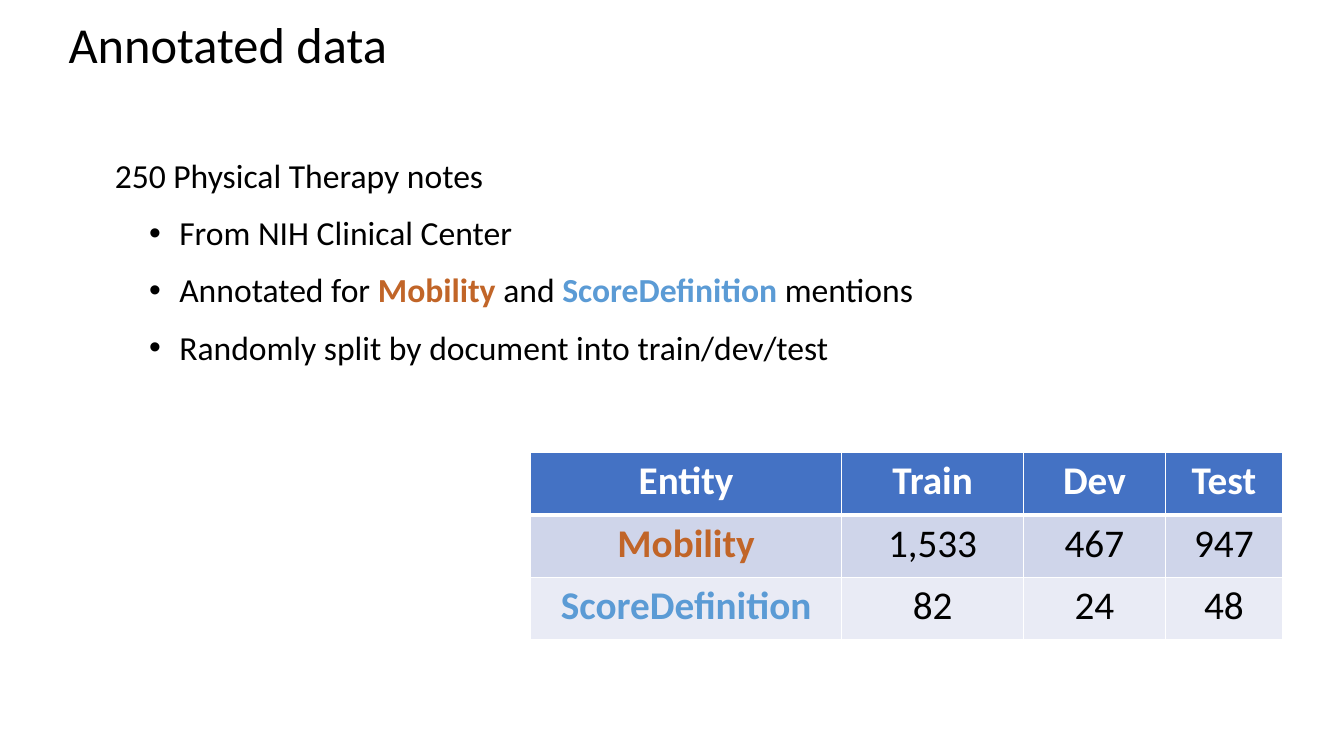
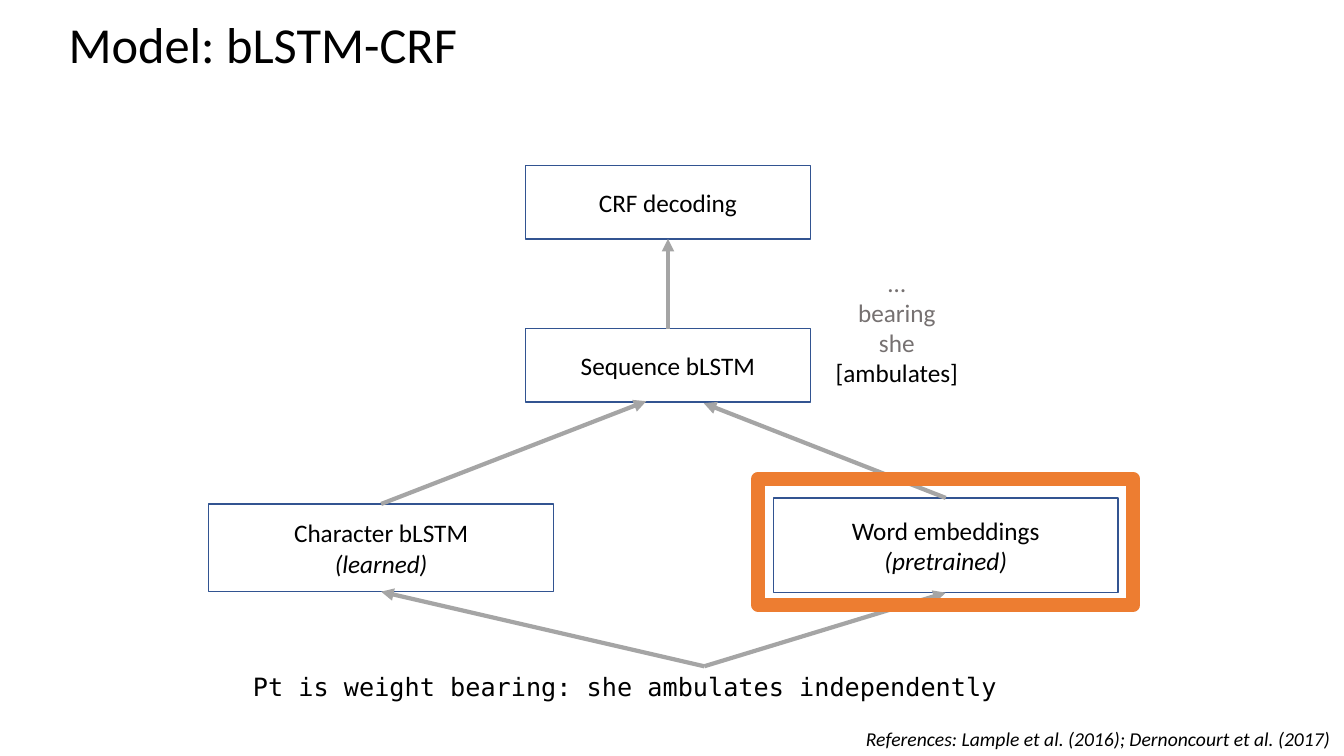
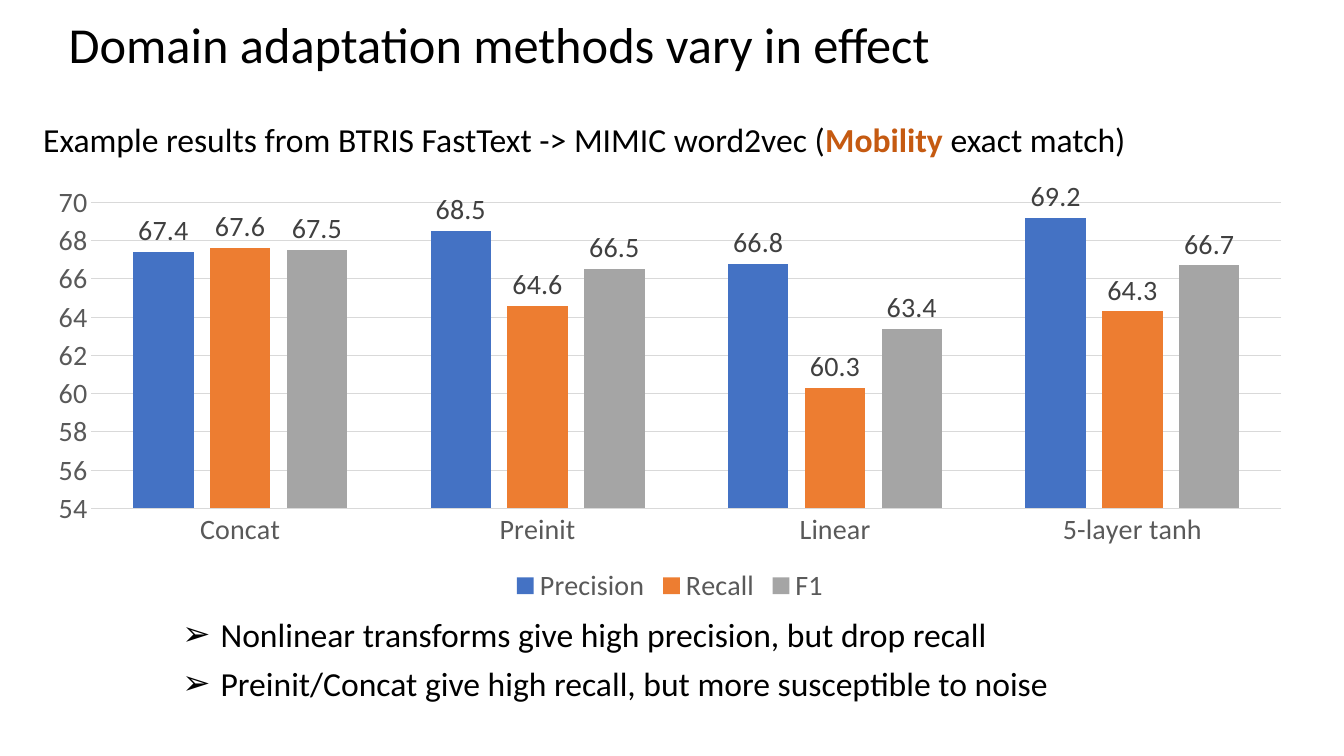
from lxml.etree import SubElement
from pptx import Presentation
from pptx.chart.data import CategoryChartData
from pptx.dml.color import RGBColor
from pptx.enum.chart import XL_CHART_TYPE as ChartType
from pptx.enum.chart import XL_LABEL_POSITION as LabelPos
from pptx.enum.chart import XL_LEGEND_POSITION as LegendPos
from pptx.enum.chart import XL_TICK_MARK as Tick
from pptx.enum.shapes import MSO_CONNECTOR as Connector
from pptx.enum.shapes import MSO_SHAPE as Shape
from pptx.enum.text import MSO_ANCHOR as Anchor
from pptx.enum.text import MSO_AUTO_SIZE as AutoSize
from pptx.enum.text import PP_ALIGN as Align
from pptx.oxml.ns import qn
from pptx.util import Inches, Pt

FONT, MONO = "Calibri", "DejaVu Sans Mono"
COLORS = {
    "black": "000000", "white": "FFFFFF", "mobility": "C16528",
    "mobility_dark": "C55A11", "score": "5B9BD5", "blue": "4472C4",
    "orange": "ED7D31", "gray": "A5A5A5", "band_dark": "CFD5EA",
    "band_light": "E9EBF5", "outline": "325491", "context": "767171",
    "axis": "595959", "grid": "D9D9D9", "label": "404040",
}


def rgb(name):
    return RGBColor.from_string(COLORS[name])


def inches(*lengths):
    return [Inches(length) for length in lengths]


def style_font(font, size, color="black", bold=None, italic=None, name=FONT):
    font.name, font.size = name, Pt(size)
    font.bold, font.italic = bold, italic
    font.color.rgb = rgb(color)


def add_slide(prs, title):
    """Title-only slide with the shared title style."""
    slide = prs.slides.add_slide(prs.slide_layouts[5])
    heading = slide.shapes.title
    heading.left, heading.top, heading.width, heading.height = inches(0.58, 0.2, 11.84, 0.53)
    frame = heading.text_frame
    frame.text = title
    frame.auto_size, frame.vertical_anchor = AutoSize.NONE, Anchor.MIDDLE
    line = frame.paragraphs[0]
    line.alignment, line.line_spacing = Align.LEFT, 0.9
    style_font(line.font, 36)
    return slide


def write_lines(frame, lines, size, align=Align.LEFT, **font):
    """Each line is a string or a list of runs: plain text, or (text, color) for bold."""
    for i, line in enumerate(lines):
        para = frame.paragraphs[0] if i == 0 else frame.add_paragraph()
        para.alignment = align
        style_font(para.font, size, **font)
        for part in [line] if isinstance(line, str) else line:
            text, color = (part, None) if isinstance(part, str) else part
            run = para.add_run()
            run.text = text
            if color:
                run.font.bold, run.font.color.rgb = True, rgb(color)
    return frame.paragraphs


def add_text(slide, box, lines, size, wrap=True, **style):
    note = slide.shapes.add_textbox(*inches(*box))
    note.text_frame.word_wrap = wrap
    write_lines(note.text_frame, lines, size, **style)
    return note


def add_bullet(para, char, indent, hang, before):
    para.space_before = Pt(before)
    props = para._p.get_or_add_pPr()
    props.set("marL", str(Inches(indent)))
    props.set("indent", str(-Inches(hang)))
    defaults = props.find(qn("a:defRPr"))
    for tag, key, value in (("a:buFont", "typeface", "Arial"), ("a:buChar", "char", char)):
        mark = SubElement(props, qn(tag))
        mark.set(key, value)
        defaults.addprevious(mark)


def add_box(slide, box, line="outline", width=1, fill="white"):
    rect = slide.shapes.add_shape(Shape.RECTANGLE, *inches(*box))
    rect.shadow.inherit = False
    if fill:
        rect.fill.solid()
        rect.fill.fore_color.rgb = rgb(fill)
    else:
        rect.fill.background()
    rect.line.color.rgb, rect.line.width = rgb(line), Pt(width)
    return rect


def add_layer(slide, box, name, remark=None):
    """Labelled model layer with an optional italic remark below."""
    layer = add_box(slide, box)
    frame = layer.text_frame
    frame.vertical_anchor = Anchor.MIDDLE
    lines = [name, remark] if remark else [name]
    paras = write_lines(frame, lines, 18, Align.CENTER)
    if remark:
        paras[1].font.italic = True
    return layer


def add_arrow(slide, source, target=None, tip=(0, 0)):
    """Upward arrow from the top of source to the bottom of target, or to a point."""
    arrow = slide.shapes.add_connector(Connector.STRAIGHT, *inches(*tip, *tip))
    arrow.begin_connect(source, 0)
    if target is not None:
        arrow.end_connect(target, 2)
    arrow.line.color.rgb, arrow.line.width = rgb("gray"), Pt(3)
    SubElement(arrow.line._get_or_add_ln(), qn("a:tailEnd")).set("type", "triangle")
    SubElement(arrow._element.spPr, qn("a:effectLst"))


def set_borders(cell, bottom):
    props = cell._tc.get_or_add_tcPr()
    sides = (("L", 1), ("R", 1), ("T", 1), ("B", bottom))
    for i, (side, width) in enumerate(sides):
        edge = props.makeelement(qn("a:ln" + side), {"w": str(Pt(width))})
        fill = SubElement(edge, qn("a:solidFill"))
        SubElement(fill, qn("a:srgbClr")).set("val", COLORS["white"])
        props.insert(i, edge)


def add_counts_table(slide, left, top, widths, row_height, rows):
    height = row_height * len(rows)
    table = slide.shapes.add_table(
        len(rows), len(widths), *inches(left, top, sum(widths), height)).table
    for column, width in zip(table.columns, widths):
        column.width = Inches(width)
    entity_colors = ["white", "mobility", "score"]
    fills = ["blue", "band_dark", "band_light"]
    for r, values in enumerate(rows):
        table.rows[r].height = Inches(row_height)
        for c, value in enumerate(values):
            cell = table.cell(r, c)
            strong = r == 0 or c == 0
            write_lines(cell.text_frame, [value], 28, Align.CENTER, bold=strong,
                        color=entity_colors[r] if strong else "black")
            cell.fill.solid()
            cell.fill.fore_color.rgb = rgb(fills[r])
            set_borders(cell, 3 if r == 0 else 1)


def add_scores_chart(slide, box, methods, scores):
    data = CategoryChartData()
    data.categories = methods
    for measure, (_, values) in scores.items():
        data.add_series(measure, values)
    chart = slide.shapes.add_chart(ChartType.COLUMN_CLUSTERED, *inches(*box), data).chart
    style_font(chart.font, 20)
    chart.has_title = False
    chart.has_legend = True
    chart.legend.position, chart.legend.include_in_layout = LegendPos.BOTTOM, False
    style_font(chart.legend.font, 20, "axis")

    # Axes
    for axis in (chart.category_axis, chart.value_axis):
        axis.major_tick_mark = axis.minor_tick_mark = Tick.NONE
        style_font(axis.tick_labels.font, 20, "axis")
    scale = chart.value_axis
    scale.minimum_scale, scale.maximum_scale, scale.major_unit = 54, 70, 2
    scale.format.line.fill.background()
    for line in (chart.category_axis.format.line, scale.major_gridlines.format.line):
        line.color.rgb, line.width = rgb("grid"), Pt(0.75)

    # Columns and their labels
    plot = chart.plots[0]
    plot.gap_width, plot.overlap, plot.vary_by_categories = 138, -27, False
    for series, (color, _) in zip(plot.series, scores.values()):
        series.format.fill.solid()
        series.format.fill.fore_color.rgb = rgb(color)
        labels = series.data_labels
        labels.show_value, labels.position = True, LabelPos.OUTSIDE_END
        style_font(labels.font, 20, "label")


def build_data_slide(prs):
    slide = add_slide(prs, "Annotated data")
    corpus = add_text(slide, (1.04, 1.49, 8.74, 2.22), [
        "250 Physical Therapy notes",
        "From NIH Clinical Center",
        ["Annotated for ", ("Mobility", "mobility"), " and ",
         ("ScoreDefinition", "score"), " mentions"],
        "Randomly split by document into train/dev/test",
    ], 24)
    for para in corpus.text_frame.paragraphs[1:]:
        add_bullet(para, "•", 0.64, 0.3, 12)
    add_counts_table(slide, 5.26, 4.49, [3.09, 1.8, 1.41, 1.16], 0.62, [
        ["Entity", "Train", "Dev", "Test"],
        ["Mobility", "1,533", "467", "947"],
        ["ScoreDefinition", "82", "24", "48"],
    ])


def build_model_slide(prs):
    slide = add_slide(prs, "Model: bLSTM-CRF")
    # Layers, from input to output
    sentence = add_text(slide, (2.41, 6.61, 9.15, 0.4),
                        ["Pt is weight bearing: she ambulates independently"], 18, name=MONO)
    characters = add_layer(slide, (2.07, 5, 3.42, 0.87), "Character bLSTM", "(learned)")
    words = add_layer(slide, (7.67, 4.94, 3.42, 0.94), "Word embeddings", "(pretrained)")
    sequence = add_layer(slide, (5.21, 3.26, 2.83, 0.73), "Sequence bLSTM")
    decoding = add_layer(slide, (5.21, 1.64, 2.83, 0.73), "CRF decoding")

    # Data flow
    add_arrow(slide, sentence, characters)
    add_arrow(slide, sentence, words)
    add_arrow(slide, characters, tip=(6.41, 3.98))
    add_arrow(slide, words, tip=(6.98, 4))
    add_arrow(slide, sequence, decoding)

    # Highlight, context words and references
    add_box(slide, (7.52, 4.75, 3.72, 1.25), "orange", 10, fill=None)
    context = add_text(slide, (8.18, 2.6, 1.43, 1.31), ["…", "bearing", "she", "[ambulates]"],
                       18, wrap=False, align=Align.CENTER, color="context")
    context.text_frame.paragraphs[-1].font.color.rgb = rgb("black")
    add_text(slide, (8.49, 7.16, 4.84, 0.34),
             ["References: Lample et al. (2016); Dernoncourt et al. (2017)"],
             14, wrap=False, italic=True)


def build_results_slide(prs):
    slide = add_slide(prs, "Domain adaptation methods vary in effect")
    add_text(slide, (0.33, 1.13, 11.03, 0.5), [
        ["Example results from BTRIS FastText -> MIMIC word2vec (",
         ("Mobility ", "mobility_dark"), "exact match)"],
    ], 24, wrap=False)
    add_scores_chart(
        slide, (0.33, 1.75, 12.63, 4.29), ["Concat", "Preinit", "Linear", "5-layer tanh"], {
            "Precision": ("blue", [67.4, 68.5, 66.8, 69.2]),
            "Recall": ("orange", [67.6, 64.6, 60.3, 64.3]),
            "F1": ("gray", [67.5, 66.5, 63.4, 66.7]),
        })
    findings = add_text(slide, (1.71, 6.04, 10.07, 0.99), [
        "Nonlinear transforms give high precision, but drop recall",
        "Preinit/Concat give high recall, but more susceptible to noise",
    ], 24)
    for para in findings.text_frame.paragraphs:
        add_bullet(para, "➢", 0.38, 0.38, 6)


def main():
    prs = Presentation()
    prs.slide_width, prs.slide_height = inches(13.33, 7.5)
    build_data_slide(prs)
    build_model_slide(prs)
    build_results_slide(prs)
    prs.save("out.pptx")


if __name__ == "__main__":
    main()
